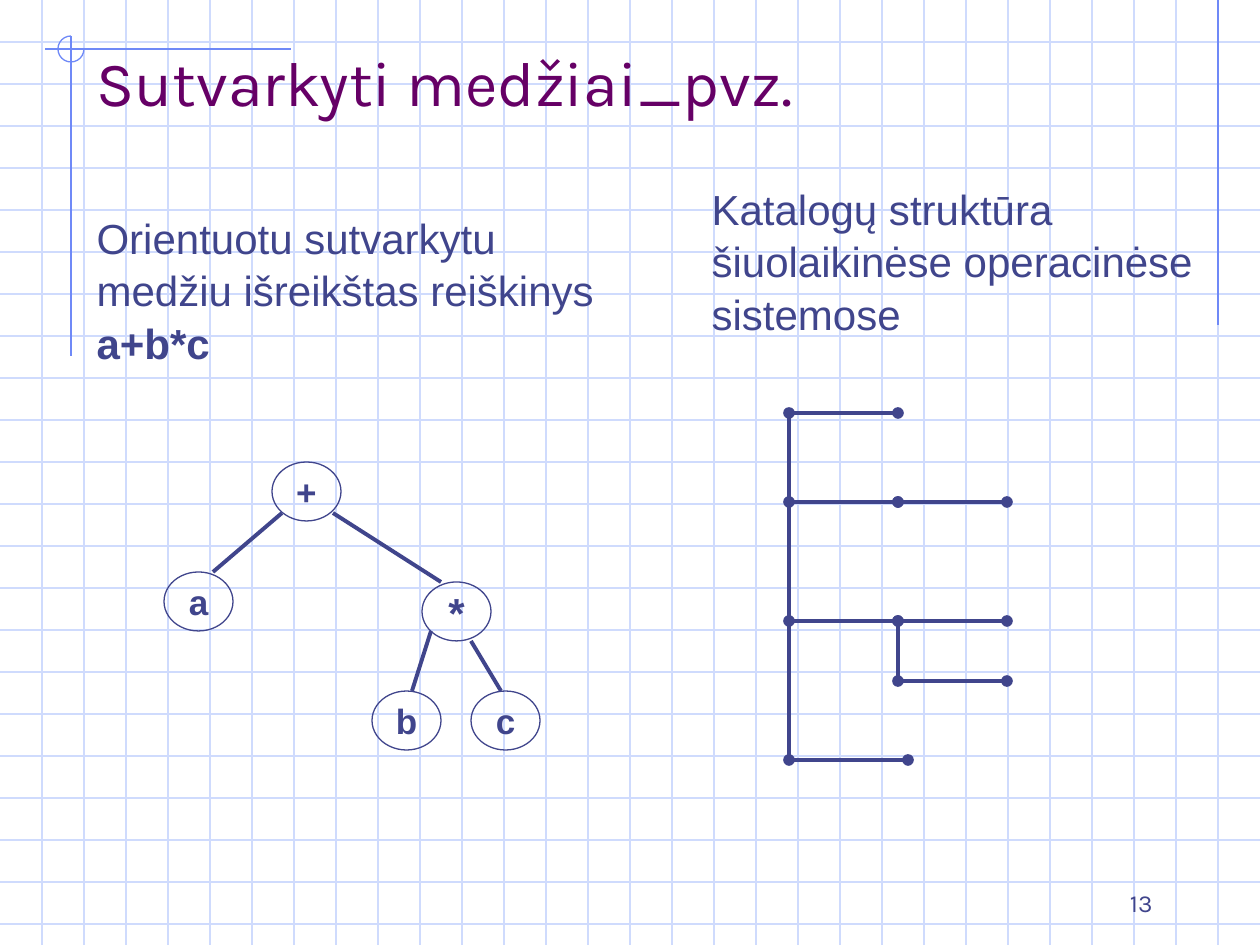
from typing import Any, NamedTuple

import lxml.etree
import pptx
import pptx.dml.color
import pptx.enum.shapes
import pptx.enum.text
import pptx.oxml.ns
import pptx.util

WIDE, HIGH, STEP = 1260, 945, 42
UNIT = 914400 / 126
HUES = {"grid": "CFDBFD", "trim": "6F89F7", "ink": "40458C", "title": "660066"}
ALIGN = pptx.enum.text.PP_ALIGN
ANCHOR = pptx.enum.text.MSO_ANCHOR
KIND = pptx.enum.shapes.MSO_SHAPE


class Node(NamedTuple):
    text: str
    left: int
    top: int
    size: int = 20


class Edge(NamedTuple):
    x1: int
    y1: int
    x2: int
    y2: int
    dots: bool = False


NODES = [
    Node("+", 272, 462),
    Node("a", 164, 572),
    Node("*", 422, 582, 24),
    Node("c", 471, 691),
    Node("b", 372, 691),
]
LINKS = [
    Edge(282, 513, 213, 572),
    Edge(333, 513, 441, 582),
    Edge(431, 631, 412, 691),
    Edge(471, 641, 501, 691),
]
TRIM = [
    Edge(1218, 0, 1218, 325),
    Edge(291, 49, 45, 49),
    Edge(71, 36, 71, 356),
]
ROOT, MID, END = 789, 898, 1007
ROWS = [413, 502, 621, 681, 760]
FOLDERS = [
    Edge(ROOT, ROWS[0], ROOT, ROWS[4]),
    Edge(ROOT, ROWS[1], MID, ROWS[1], True),
    Edge(ROOT, ROWS[0], MID, ROWS[0], True),
    Edge(MID, ROWS[1], END, ROWS[1], True),
    Edge(ROOT, ROWS[2], MID, ROWS[2], True),
    Edge(MID, ROWS[2], END, ROWS[2], True),
    Edge(MID, ROWS[3], END, ROWS[3], True),
    Edge(ROOT, ROWS[4], 908, ROWS[4], True),
    Edge(MID, ROWS[2], MID, ROWS[3]),
]


def px(count: int) -> int:
    return round(count * UNIT)


def hue(name: str) -> pptx.dml.color.RGBColor:
    return pptx.dml.color.RGBColor.from_string(HUES[name])


def add_tag(host: Any, name: str, **attrs: str) -> None:
    lxml.etree.SubElement(host, pptx.oxml.ns.qn(name), attrs)


def write(frame: Any, text: str, *, size: int, font: str = "Arial",
          color: str = "ink", bold: bool = False,
          align: Any = ALIGN.LEFT) -> None:
    para = frame.paragraphs[0]
    para.alignment = align
    run = para.add_run()
    run.text = text
    run.font.size = pptx.util.Pt(size)
    run.font.name = font
    run.font.bold = bold
    run.font.color.rgb = hue(color)


def place(shape: Any, left: int, top: int, wide: int, high: int) -> None:
    shape.left, shape.top = px(left), px(top)
    shape.width, shape.height = px(wide), px(high)


def draw_line(slide: Any, edge: Edge, color: str, width: float) -> None:
    line = slide.shapes.add_connector(
        pptx.enum.shapes.MSO_CONNECTOR.STRAIGHT,
        px(edge.x1), px(edge.y1), px(edge.x2), px(edge.y2))
    line.line.color.rgb = hue(color)
    line.line.width = pptx.util.Pt(width)
    if edge.dots:
        stroke = line.line._get_or_add_ln()
        for tag in ("a:headEnd", "a:tailEnd"):
            add_tag(stroke, tag, type="oval")
    add_tag(line.element.spPr, "a:effectLst")


def draw_shape(slide: Any, kind: Any, left: int, top: int,
               wide: int, high: int, color: str) -> Any:
    shape = slide.shapes.add_shape(kind, px(left), px(top), px(wide), px(high))
    shape.shadow.inherit = False
    shape.fill.background()
    shape.line.color.rgb = hue(color)
    shape.line.width = pptx.util.Pt(0.75)
    return shape


def draw_node(slide: Any, node: Node) -> None:
    shape = draw_shape(slide, KIND.OVAL, node.left, node.top, 69, 59, "ink")
    frame = shape.text_frame
    frame.word_wrap = False
    frame.vertical_anchor = ANCHOR.MIDDLE
    write(frame, node.text, size=node.size, bold=True, align=ALIGN.CENTER)


def set_body(shape: Any, left: int, top: int, wide: int) -> Any:
    place(shape, left, top, wide, 164)
    frame = shape.text_frame
    frame.word_wrap = True
    frame.auto_size = pptx.enum.text.MSO_AUTO_SIZE.NONE
    para = frame.paragraphs[0]
    para.space_before = pptx.util.Pt(0)
    para.line_spacing = 1.04
    props = para._p.get_or_add_pPr()
    props.set("marL", "0")
    props.set("indent", "0")
    add_tag(props, "a:buNone")
    return frame


def main() -> None:
    deck = pptx.Presentation()
    deck.slide_width, deck.slide_height = px(WIDE), px(HIGH)
    slide = deck.slides.add_slide(deck.slide_layouts[3])
    title, left, right = slide.placeholders

    for y in range(STEP, HIGH, STEP):
        draw_line(slide, Edge(0, y, WIDE, y), "grid", 0.75)
    for x in range(STEP, WIDE, STEP):
        draw_line(slide, Edge(x, 0, x, HIGH), "grid", 0.75)
    for edge in TRIM:
        draw_line(slide, edge, "trim", 0.75)
    arc = draw_shape(slide, KIND.ARC, 58, 36, 26, 26, "trim")
    arc.adjustments[0] = 0
    arc.adjustments[1] = 162

    for shape in (title, left, right):
        slide.shapes.element.append(shape.element)
    place(title, 84, 42, 1071, 83)
    title.text_frame.vertical_anchor = ANCHOR.BOTTOM
    title.text_frame.auto_size = pptx.enum.text.MSO_AUTO_SIZE.NONE
    write(title.text_frame, "Sutvarkyti medžiai_pvz.", size=36,
          font="Karla", color="title")

    frame = set_body(left, 84, 204, 556)
    write(frame, "Orientuotu sutvarkytu medžiu išreikštas reiškinys ", size=24)
    write(frame, "a+b*c", size=24, bold=True)
    frame = set_body(right, 699, 175, 605)
    write(frame, "Katalogų struktūra šiuolaikinėse operacinėse sistemose",
          size=24)

    for node in NODES:
        draw_node(slide, node)
    for edge in LINKS + FOLDERS:
        draw_line(slide, edge, "ink", 2.25)

    page = slide.shapes.add_textbox(px(903), px(861), px(262), px(63))
    page.text_frame.word_wrap = True
    page.text_frame.vertical_anchor = ANCHOR.BOTTOM
    write(page.text_frame, "13", size=14, font="Karla", align=ALIGN.RIGHT)
    deck.save("out.pptx")


if __name__ == "__main__":
    main()
